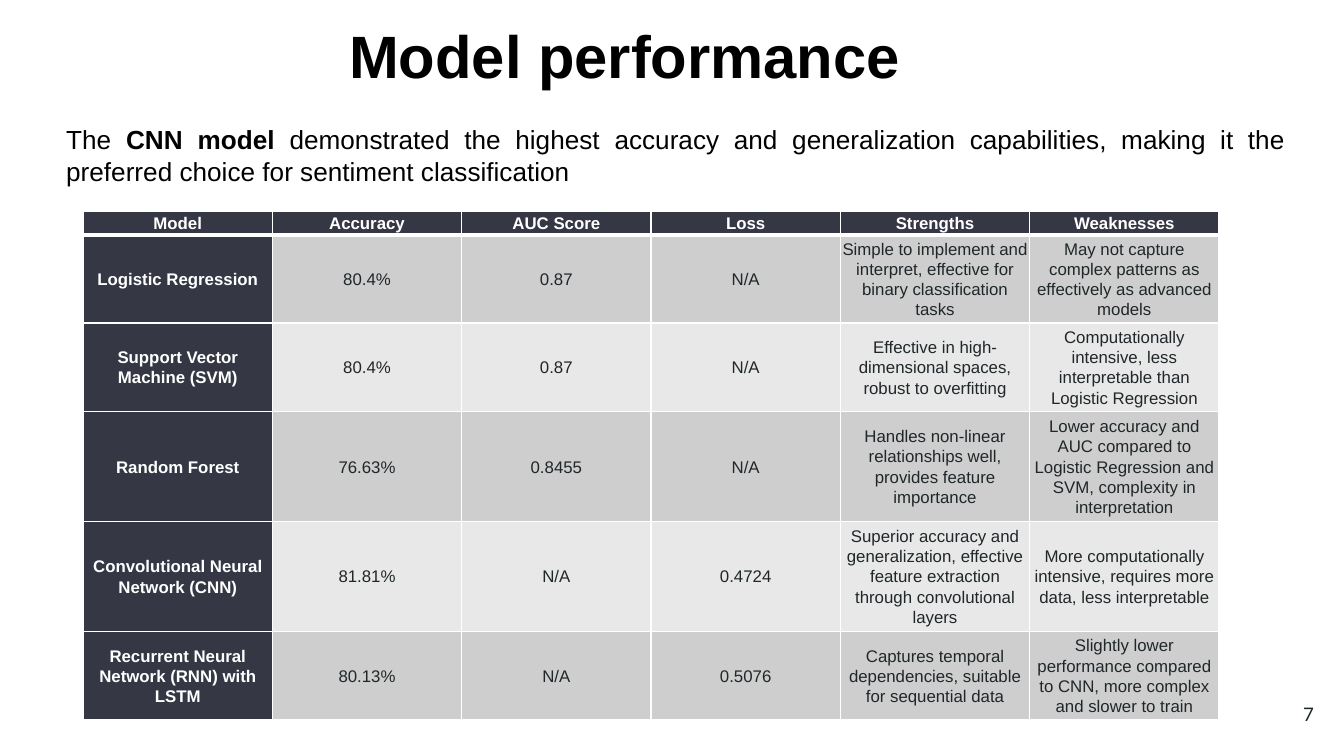
from dataclasses import dataclass

from lxml import etree
from pptx import Presentation
from pptx.dml.color import RGBColor
from pptx.enum.text import MSO_ANCHOR, PP_ALIGN
from pptx.oxml.ns import qn
from pptx.util import Pt

LEFT, CENTER, RIGHT, JUSTIFY = PP_ALIGN.LEFT, PP_ALIGN.CENTER, PP_ALIGN.RIGHT, PP_ALIGN.JUSTIFY
TOP, MIDDLE = MSO_ANCHOR.TOP, MSO_ANCHOR.MIDDLE
SCALE = 914400 / 134.4


@dataclass(frozen=True)
class Theme:
    """Colours, fonts and type sizes of the slide."""
    black: str = "000000"
    white: str = "FFFFFF"
    ink: str = "202729"
    dark: str = "353744"
    bands: tuple = ("CECECF", "E8E8E9")
    font: str = "Arial"
    number_font: str = "Lato"
    title: int = 32
    body: int = 14
    number: int = 10
    cell: int = 9
    line: int = 1
    header_line: int = 3


THEME = Theme()
ROW_HEIGHTS = (24, 88, 88, 110, 110, 88)
ROWS = (
    ("Model", "Accuracy", "AUC Score", "Loss", "Strengths", "Weaknesses"),
    ("Logistic Regression", "80.4%", "0.87", "N/A",
     "Simple to implement and interpret, effective for binary classification tasks",
     "May not capture complex patterns as effectively as advanced models"),
    ("Support Vector Machine (SVM)", "80.4%", "0.87", "N/A",
     "Effective in high-dimensional spaces, robust to overfitting",
     "Computationally intensive, less interpretable than Logistic Regression"),
    ("Random Forest", "76.63%", "0.8455", "N/A",
     "Handles non-linear relationships well, provides feature importance",
     "Lower accuracy and AUC compared to Logistic Regression and SVM, complexity in interpretation"),
    ("Convolutional Neural Network (CNN)", "81.81%", "N/A", "0.4724",
     "Superior accuracy and generalization, effective feature extraction through convolutional layers",
     "More computationally intensive, requires more data, less interpretable"),
    ("Recurrent Neural Network (RNN) with LSTM", "80.13%", "N/A", "0.5076",
     "Captures temporal dependencies, suitable for sequential data",
     "Slightly lower performance compared to CNN, more complex and slower to train"),
)


def px(n):
    """Turn pixels into EMU."""
    return round(n * SCALE)


def style_run(r, size, color, bold=False, font=THEME.font):
    """Set the font of a run."""
    r.font.name, r.font.size, r.font.bold = font, Pt(size), bold
    r.font.color.rgb = RGBColor.from_string(color)


def add_text(s, box, parts, size, color, align=LEFT, anchor=TOP, font=THEME.font):
    """Add a text box of one paragraph from (text, bold) parts."""
    tf = s.shapes.add_textbox(*map(px, box)).text_frame
    tf.word_wrap, tf.vertical_anchor = True, anchor
    p = tf.paragraphs[0]
    p.alignment = align
    for text, bold in parts:
        r = p.add_run()
        r.text = text
        style_run(r, size, color, bold, font)


def set_borders(cell, widths):
    """Draw white lines on the left, right, top and bottom of a cell."""
    tc_pr = cell._tc.get_or_add_tcPr()
    for i, (side, width) in enumerate(zip("LRTB", widths)):
        ln = etree.Element(qn(f"a:ln{side}"), w=str(Pt(width)))
        fill = etree.SubElement(ln, qn("a:solidFill"))
        etree.SubElement(fill, qn("a:srgbClr"), val=THEME.white)
        tc_pr.insert(i, ln)


def fill_cell(cell, text, row, col):
    """Write and style one table cell according to its row and column."""
    heading = row == 0 or col == 0
    cell.margin_left = cell.margin_right = cell.margin_top = cell.margin_bottom = px(1)
    cell.vertical_anchor = MIDDLE
    cell.fill.solid()
    cell.fill.fore_color.rgb = RGBColor.from_string(THEME.dark if heading else THEME.bands[(row - 1) % 2])
    cell.text_frame.text = text
    p = cell.text_frame.paragraphs[0]
    p.alignment, p.line_spacing = CENTER, 1.07
    style_run(p.runs[0], THEME.cell, THEME.white if heading else THEME.ink, heading)
    top = THEME.header_line if row == 1 else THEME.line
    bottom = THEME.header_line if row == 0 else THEME.line
    set_borders(cell, (THEME.line, THEME.line, top, bottom))


def add_model_table(s, box):
    """Add the model comparison table with equal columns."""
    table = s.shapes.add_table(len(ROWS), len(ROWS[0]), *map(px, box)).table
    for column in table.columns:
        column.width = px(box[2] / len(ROWS[0]))
    for row, (height, texts) in enumerate(zip(ROW_HEIGHTS, ROWS)):
        table.rows[row].height = px(height)
        for col, text in enumerate(texts):
            fill_cell(table.cell(row, col), text, row, col)


def add_performance_slide(prs, box):
    """Add the slide with its number, title, summary and table."""
    s = prs.slides.add_slide(prs.slide_layouts[6])
    x, y, w, h = box
    add_text(s, (x + w - 98, y + h - 71, 81, 58), [("7", False)], THEME.number, THEME.ink,
             RIGHT, MIDDLE, THEME.number_font)
    add_text(s, (x + 336, y + 12, 672, 86), [("Model performance", True)], THEME.title, THEME.black)
    summary = [
        ("The ", False),
        ("CNN model ", True),
        ("demonstrated the highest accuracy and generalization capabilities, "
         "making it the preferred choice for sentiment classification", False),
    ]
    add_text(s, (x + 53, y + 117, 1246, 77), summary, THEME.body, THEME.black, JUSTIFY)
    add_model_table(s, (x + 83, y + 211, 1136, sum(ROW_HEIGHTS)))


def main():
    """Build and save the presentation."""
    prs = Presentation()
    prs.slide_width, prs.slide_height = px(1344), px(756)
    add_performance_slide(prs, (0, 0, 1344, 756))
    prs.save("out.pptx")


if __name__ == "__main__":
    main()
